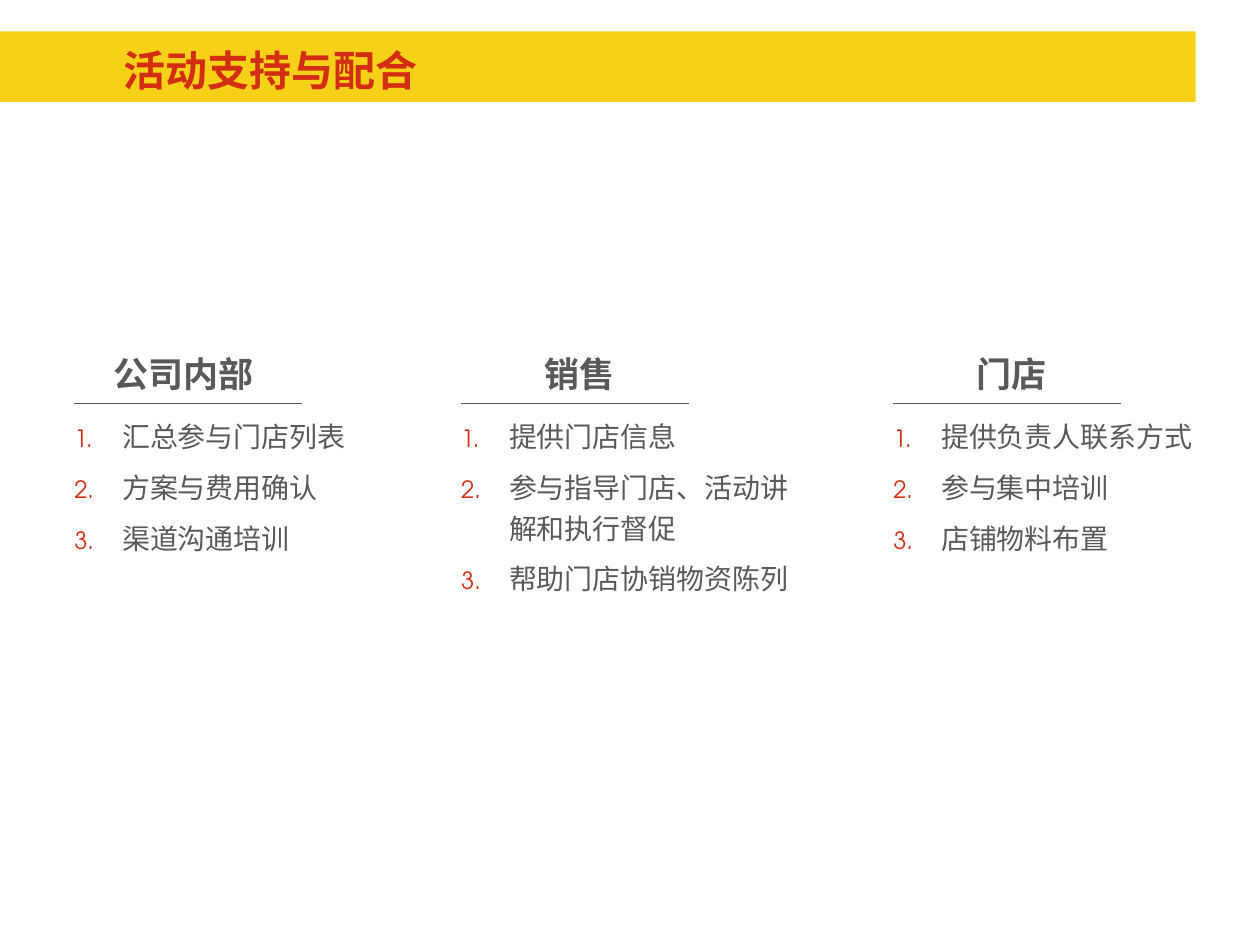
from dataclasses import dataclass

from lxml import etree
from pptx import Presentation
from pptx.dml.color import RGBColor
from pptx.enum.shapes import MSO_CONNECTOR, MSO_SHAPE
from pptx.enum.text import MSO_ANCHOR, PP_ALIGN
from pptx.oxml.ns import qn
from pptx.util import Inches, Pt

RECTANGLE = MSO_SHAPE.RECTANGLE
STRAIGHT = MSO_CONNECTOR.STRAIGHT
LEFT, CENTER = PP_ALIGN.LEFT, PP_ALIGN.CENTER
TOP, MIDDLE = MSO_ANCHOR.TOP, MSO_ANCHOR.MIDDLE


@dataclass(frozen=True)
class Theme:
    font: str = "TeX Gyre Adventor"
    yellow: str = "F7D117"
    red: str = "D42E12"
    gray: str = "595959"
    title_size: int = 24
    heading_size: int = 20
    list_size: int = 16
    number_percent: int = 85


class SlideBuilder:
    def __init__(self, slide, theme):
        self.s = slide
        self.theme = theme

    def band(self, x, y, w, h):
        sp = self.s.shapes.add_shape(RECTANGLE, Inches(x), Inches(y), Inches(w), Inches(h))
        sp.shadow.inherit = False
        sp.fill.solid()
        sp.fill.fore_color.rgb = RGBColor.from_string(self.theme.yellow)
        sp.line.fill.background()
        tree = self.s.shapes._spTree
        tree.remove(sp._element)
        tree.insert(2, sp._element)

    def frame(self, sp, anchor):
        tf = sp.text_frame
        tf.word_wrap = True
        tf.vertical_anchor = anchor
        tf.margin_left = tf.margin_right = tf.margin_top = tf.margin_bottom = 0
        return tf

    def run(self, p, text, size, color, bold=False):
        r = p.add_run()
        r.text = text
        r.font.size = Pt(size)
        r.font.bold = bold
        r.font.color.rgb = RGBColor.from_string(color)
        r.font.name = self.theme.font
        etree.SubElement(r.font._element, qn("a:ea"), typeface=self.theme.font)

    def title(self, text, x, y, w, h):
        sp = self.s.shapes.title
        sp.left, sp.top, sp.width, sp.height = map(Inches, (x, y, w, h))
        p = self.frame(sp, MIDDLE).paragraphs[0]
        p.alignment = LEFT
        self.run(p, text, self.theme.title_size, self.theme.red, True)

    def text_box(self, x, y, w, h):
        sp = self.s.shapes.add_textbox(Inches(x), Inches(y), Inches(w), Inches(h))
        return self.frame(sp, TOP)

    def space(self, p):
        p.line_spacing = 1.2
        p.space_after = Pt(6)

    def heading(self, text, x, y, w, h, alignment):
        p = self.text_box(x, y, w, h).paragraphs[0]
        p.alignment = alignment
        self.space(p)
        self.run(p, text, self.theme.heading_size, self.theme.gray, True)

    def rule(self, x, y, w):
        line = self.s.shapes.add_connector(
            STRAIGHT, Inches(x), Inches(y), Inches(x + w), Inches(y))
        line.line.color.rgb = RGBColor.from_string(self.theme.gray)
        line.line.width = Pt(0.75)
        etree.SubElement(line._element.spPr, qn("a:effectLst"))

    def number(self, p):
        pPr = p._p.get_or_add_pPr()
        indent = Inches(0.38)
        pPr.set("marL", str(indent))
        pPr.set("indent", str(-indent))
        color = etree.SubElement(pPr, qn("a:buClr"))
        etree.SubElement(color, qn("a:srgbClr"), val=self.theme.red)
        etree.SubElement(pPr, qn("a:buSzPct"), val=str(self.theme.number_percent * 1000))
        etree.SubElement(pPr, qn("a:buAutoNum"), type="arabicPeriod")

    def numbered_list(self, items, x, y, w, h):
        tf = self.text_box(x, y, w, h)
        for i, item in enumerate(items):
            p = tf.add_paragraph() if i else tf.paragraphs[0]
            self.space(p)
            self.number(p)
            self.run(p, item, self.theme.list_size, self.theme.gray)


COLUMNS = [
    (0.59, 2.36, 1.34, LEFT, "公司内部",
     ["汇总参与门店列表", "方案与费用确认", "渠道沟通培训"]),
    (3.66, 2.68, 1.65, CENTER, "销售",
     ["提供门店信息", "参与指导门店、活动讲解和执行督促", "帮助门店协销物资陈列"]),
    (7.09, 2.4, 1.65, CENTER, "门店",
     ["提供负责人联系方式", "参与集中培训", "店铺物料布置"]),
]


def main():
    prs = Presentation()
    prs.slide_width, prs.slide_height = Inches(10), Inches(7.5)
    title_only = prs.slide_layouts.get_by_name("Title Only")
    builder = SlideBuilder(prs.slides.add_slide(title_only), Theme())

    builder.band(0, 0.25, 9.49, 0.56)
    builder.title("活动支持与配合", 0.98, 0.32, 8.42, 0.46)
    for x, width, height, alignment, heading, items in COLUMNS:
        builder.rule(x, 3.2, 1.81)
        builder.heading(heading, x + 0.31, 2.73, 1.26, 0.45, alignment)
        builder.numbered_list(items, x, 3.28, width, height)

    prs.save("out.pptx")


if __name__ == "__main__":
    main()
